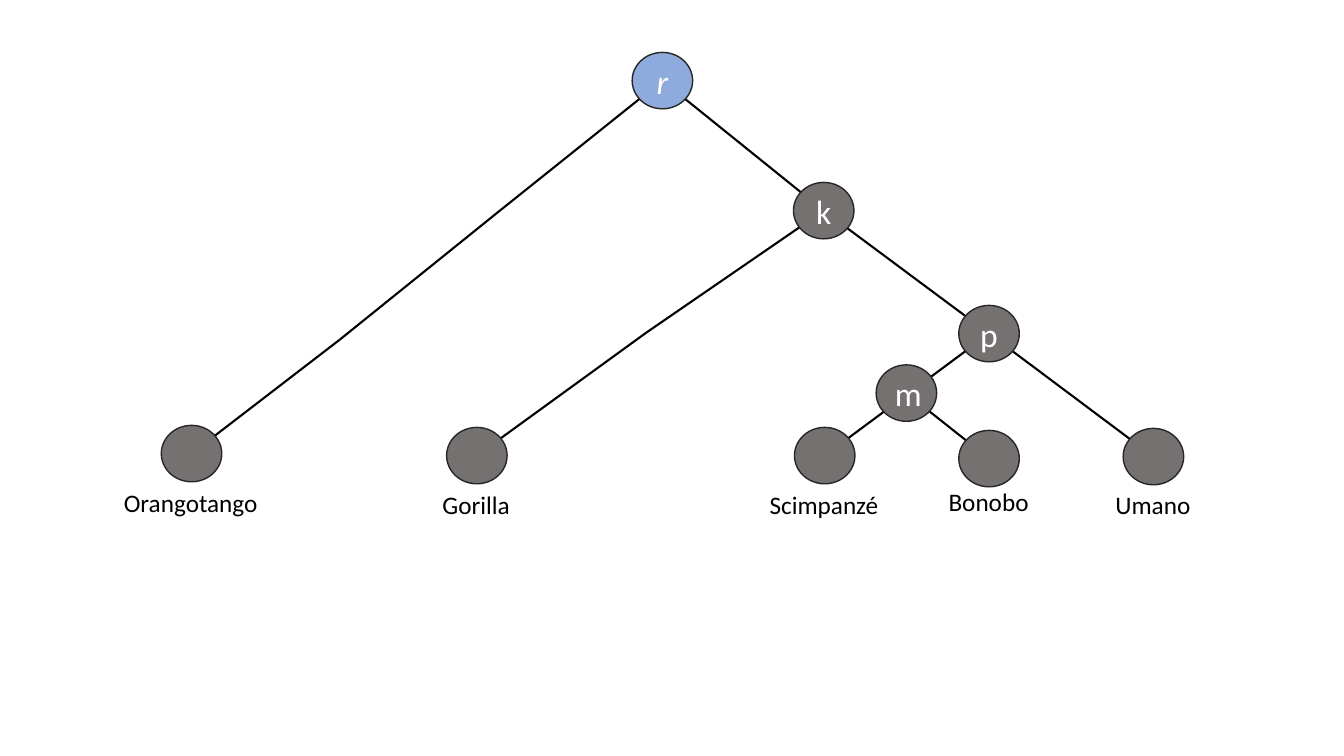
from itertools import pairwise

from lxml.etree import SubElement
from pptx import Presentation
from pptx.dml.color import RGBColor
from pptx.enum.shapes import MSO_CONNECTOR, MSO_SHAPE
from pptx.enum.text import MSO_ANCHOR, MSO_AUTO_SIZE, PP_ALIGN
from pptx.oxml.ns import qn
from pptx.util import Inches, Pt

BLACK = RGBColor(0x00, 0x00, 0x00)
WHITE = RGBColor(0xFF, 0xFF, 0xFF)
OUTLINE = RGBColor(0x26, 0x26, 0x26)
GRAY = RGBColor(0x76, 0x71, 0x71)
BLUE = RGBColor(0x8F, 0xAA, 0xDC)

# Node centres in inches
INNER = {"r": (6.57, 0.8), "k": (8.17, 2.09), "p": (9.81, 3.31), "m": (8.99, 3.9)}
LEAVES = {
    "Orangotango": (1.9, 4.5),
    "Gorilla": (4.73, 4.52),
    "Scimpanzé": (8.18, 4.52),
    "Bonobo": (9.81, 4.55),
    "Umano": (11.44, 4.53),
}
# Label: width and top in inches
LABELS = {
    "Orangotango": (1.54, 4.79),
    "Gorilla": (0.88, 4.81),
    "Scimpanzé": (1.29, 4.81),
    "Bonobo": (1, 4.78),
    "Umano": (0.95, 4.81),
}
# Each branch runs from child to ancestor, through any joints between
BRANCHES = [
    ("Bonobo", [], "m"),
    ("Scimpanzé", [], "p"),
    ("Umano", [], "p"),
    ("p", [], "k"),
    ("k", [], "r"),
    ("Gorilla", [(6.41, 3.3)], "k"),
    ("Orangotango", [(3.37, 3.37), (4.97, 2.08)], "r"),
]


class TreeSlide:
    font = "Calibri"
    node_width, node_height = 0.6, 0.56
    label_height = 0.4

    def __init__(self, page):
        self.page = page

    def add_text(self, para, text, size, color, italic=False):
        span = para.add_run()
        span.text = text
        span.font.name = self.font
        span.font.size = Pt(size)
        span.font.color.rgb = color
        if italic:
            span.font.italic = True

    def branch(self, points):
        for start, end in pairwise(points):
            line = self.page.shapes.add_connector(
                MSO_CONNECTOR.STRAIGHT, *map(Inches, start + end))
            line.line.color.rgb = BLACK
            line.line.width = Pt(1.5)
            SubElement(line._element.spPr, qn("a:effectLst"))

    def node(self, center, text="", fill=GRAY, italic=False):
        x, y = center
        circle = self.page.shapes.add_shape(
            MSO_SHAPE.OVAL,
            Inches(x - self.node_width / 2), Inches(y - self.node_height / 2),
            Inches(self.node_width), Inches(self.node_height))
        circle.shadow.inherit = False
        circle.fill.solid()
        circle.fill.fore_color.rgb = fill
        circle.line.color.rgb = OUTLINE
        circle.line.width = Pt(1)
        if text:
            frame = circle.text_frame
            frame.vertical_anchor = MSO_ANCHOR.MIDDLE
            para = frame.paragraphs[0]
            para.alignment = PP_ALIGN.CENTER
            self.add_text(para, text, 24, WHITE, italic)

    def label(self, text, center_x, width, top):
        box = self.page.shapes.add_textbox(
            Inches(center_x - width / 2), Inches(top),
            Inches(width), Inches(self.label_height))
        frame = box.text_frame
        frame.word_wrap = False
        frame.auto_size = MSO_AUTO_SIZE.SHAPE_TO_FIT_TEXT
        self.add_text(frame.paragraphs[0], text, 18, BLACK)


def main():
    deck = Presentation()
    deck.slide_width, deck.slide_height = Inches(13.33), Inches(7.5)
    tree = TreeSlide(deck.slides.add_slide(deck.slide_layouts[6]))

    # Branches lie behind the nodes
    centers = INNER | LEAVES
    for child, joints, ancestor in BRANCHES:
        tree.branch([centers[child], *joints, centers[ancestor]])

    # Ancestors, with the root in blue
    for name, center in INNER.items():
        is_root = name == "r"
        tree.node(center, name, BLUE if is_root else GRAY, is_root)

    # Species and their names
    for name, center in LEAVES.items():
        tree.node(center)
        tree.label(name, center[0], *LABELS[name])

    deck.save("out.pptx")


if __name__ == "__main__":
    main()
